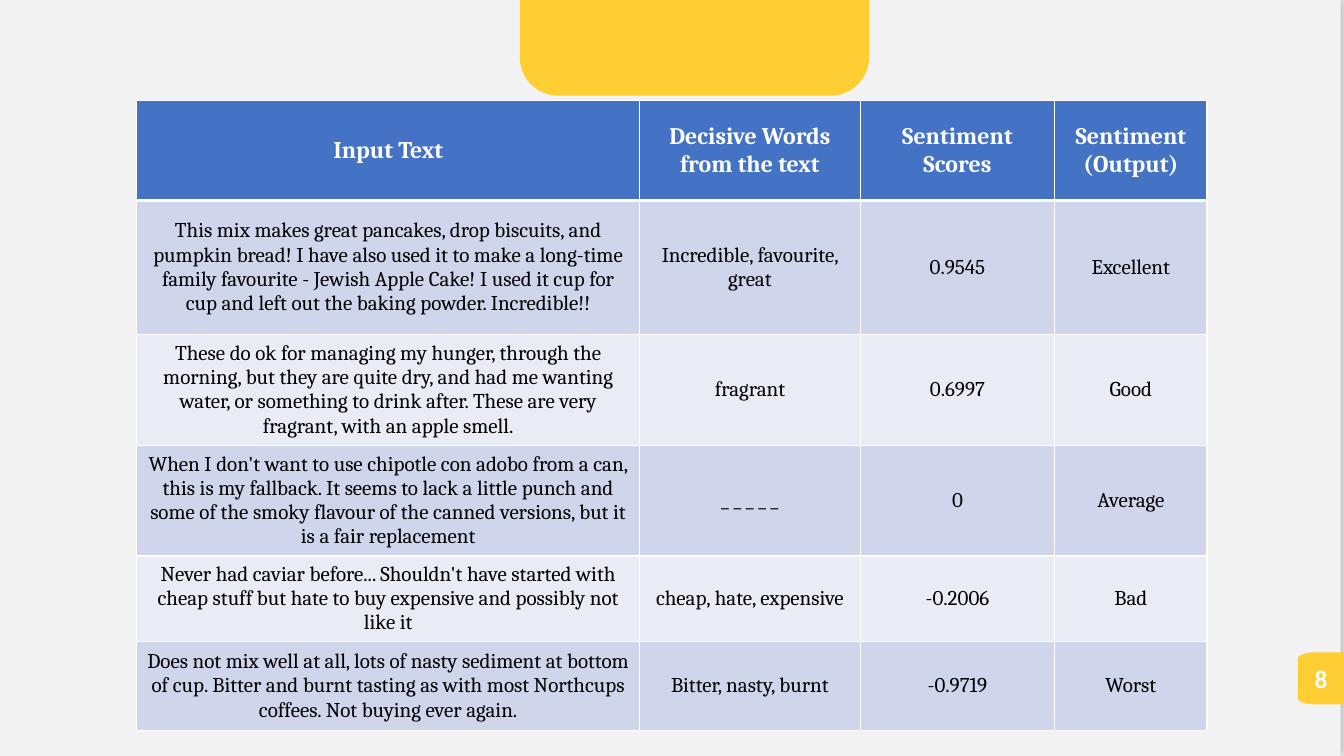
from dataclasses import dataclass
from math import cos, pi, sin

from lxml import etree
from pptx import Presentation
from pptx.dml.color import RGBColor
from pptx.enum import shapes, text
from pptx.oxml import ns
from pptx.util import Cm, Pt


@dataclass(frozen=True)
class Theme:
    paper: str = "F2F2F2"
    shade: str = "595959"
    accent: str = "FFCE33"
    heading: str = "4472C4"
    bands: tuple = ("CFD5EA", "E9EBF5")
    white: str = "FFFFFF"
    ink: str = "000000"
    table_font: str = "Cambria"
    number_font: str = "Calibri"
    heading_size: int = 17
    body_size: int = 15
    number_size: int = 18


theme = Theme()


def paint(shape, color):
    shape.shadow.inherit = False
    shape.fill.solid()
    shape.fill.fore_color.rgb = RGBColor.from_string(color)
    shape.line.fill.background()


def write(frame, wording, font, size, color, bold):
    frame.vertical_anchor = text.MSO_ANCHOR.MIDDLE
    for index, line in enumerate(wording.split("\n")):
        paragraph = frame.add_paragraph() if index else frame.paragraphs[0]
        paragraph.alignment = text.PP_ALIGN.CENTER
        run = paragraph.add_run()
        run.text = line
        run.font.name = font
        run.font.size = Pt(size)
        run.font.bold = bold
        run.font.color.rgb = RGBColor.from_string(color)


deck = Presentation()
deck.slide_width, deck.slide_height = Cm(33.87), Cm(19.05)
slide = deck.slides.add_slide(deck.slide_layouts[6])
slide.background.fill.solid()
slide.background.fill.fore_color.rgb = RGBColor.from_string(theme.paper)

page = slide.shapes.add_shape(
    shapes.MSO_SHAPE.RECTANGLE, Cm(-0.08), 0, Cm(33.87), Cm(19.05))
paint(page, theme.paper)
effects = page.element.spPr.find(ns.qn("a:effectLst"))
shadow = etree.SubElement(effects, ns.qn("a:outerShdw"), blurRad=str(Pt(7)),
                          dist=str(Pt(3)), dir="0", algn="l", rotWithShape="0")
shadow_color = etree.SubElement(shadow, ns.qn("a:srgbClr"), val=theme.shade)
etree.SubElement(shadow_color, ns.qn("a:alpha"), val="35000")

title_tab = slide.shapes.add_shape(
    shapes.MSO_SHAPE.ROUND_2_SAME_RECTANGLE, Cm(13.1), 0, Cm(8.8), Cm(2.41))
title_tab.rotation = 180
title_tab.adjustments[0] = 0.4
paint(title_tab, theme.accent)

reviews = [
    ("Input Text", "Decisive Words from the text", "Sentiment Scores",
     "Sentiment\n(Output)"),
    ("This mix makes great pancakes, drop biscuits, and pumpkin bread! "
     "I have also used it to make a long-time family favourite - Jewish Apple "
     "Cake! I used it cup for cup and left out the baking powder. Incredible!!",
     "Incredible, favourite, great", "0.9545", "Excellent"),
    ("These do ok for managing my hunger, through the morning, but they are "
     "quite dry, and had me wanting water, or something to drink after. "
     "These are very fragrant, with an apple smell.",
     "fragrant", "0.6997", "Good"),
    ("When I don't want to use chipotle con adobo from a can, this is my "
     "fallback. It seems to lack a little punch and some of the smoky flavour "
     "of the canned versions, but it is a fair replacement",
     "_ _ _ _ _", "0", "Average"),
    ("Never had caviar before... Shouldn't have started with cheap stuff but "
     "hate to buy expensive and possibly not like it",
     "cheap, hate, expensive", "-0.2006", "Bad"),
    ("Does not mix well at all, lots of nasty sediment at bottom of cup. "
     "Bitter and burnt tasting as with most Northcups coffees. "
     "Not buying ever again.",
     "Bitter, nasty, burnt", "-0.9719", "Worst"),
]
column_widths = [12.67, 5.56, 4.9, 3.84]
row_heights = [2.51, 3.38, 2.79, 2.79, 2.16, 2.24]
review_table = slide.shapes.add_table(
    len(reviews), len(column_widths), Cm(3.45), Cm(2.54),
    Cm(sum(column_widths)), Cm(sum(row_heights))).table
for column, width in zip(review_table.columns, column_widths):
    column.width = Cm(width)

for row_index, review in enumerate(reviews):
    review_table.rows[row_index].height = Cm(row_heights[row_index])
    is_heading = row_index == 0
    fill = theme.heading if is_heading else theme.bands[(row_index - 1) % 2]
    size = theme.heading_size if is_heading else theme.body_size
    color = theme.white if is_heading else theme.ink
    border_widths = {"lnL": 1, "lnR": 1, "lnT": 3 if row_index == 1 else 1,
                     "lnB": 3 if is_heading else 1}
    for column_index, wording in enumerate(review):
        cell = review_table.cell(row_index, column_index)
        write(cell.text_frame, wording, theme.table_font, size, color, is_heading)
        cell.vertical_anchor = text.MSO_ANCHOR.MIDDLE
        properties = cell._tc.get_or_add_tcPr()
        for side, width in border_widths.items():
            border = etree.SubElement(properties, ns.qn(f"a:{side}"), w=str(Pt(width)))
            border_fill = etree.SubElement(border, ns.qn("a:solidFill"))
            etree.SubElement(border_fill, ns.qn("a:srgbClr"), val=theme.white)
        cell.fill.solid()
        cell.fill.fore_color.rgb = RGBColor.from_string(fill)

left, top, right, bottom = 32.71, 16.44, 33.87, 17.75
corner_width, corner_height = 0.41, 0.16
angles = [step * pi / 16 for step in range(9)]
upper_corner = [(left + corner_width * (1 - sin(angle)),
                 top + corner_height * (1 - cos(angle))) for angle in angles]
lower_corner = [(x, top + bottom - y) for x, y in reversed(upper_corner)]
outline = [(Cm(x), Cm(y)) for x, y in upper_corner + lower_corner + [(right, bottom)]]
builder = slide.shapes.build_freeform(Cm(right), Cm(top))
builder.add_line_segments(outline, close=True)
page_number = builder.convert_to_shape()
paint(page_number, theme.accent)
number_frame = page_number.text_frame
number_frame.margin_left = number_frame.margin_right = 0
write(number_frame, "8", theme.number_font, theme.number_size, theme.white, True)

deck.save("out.pptx")
